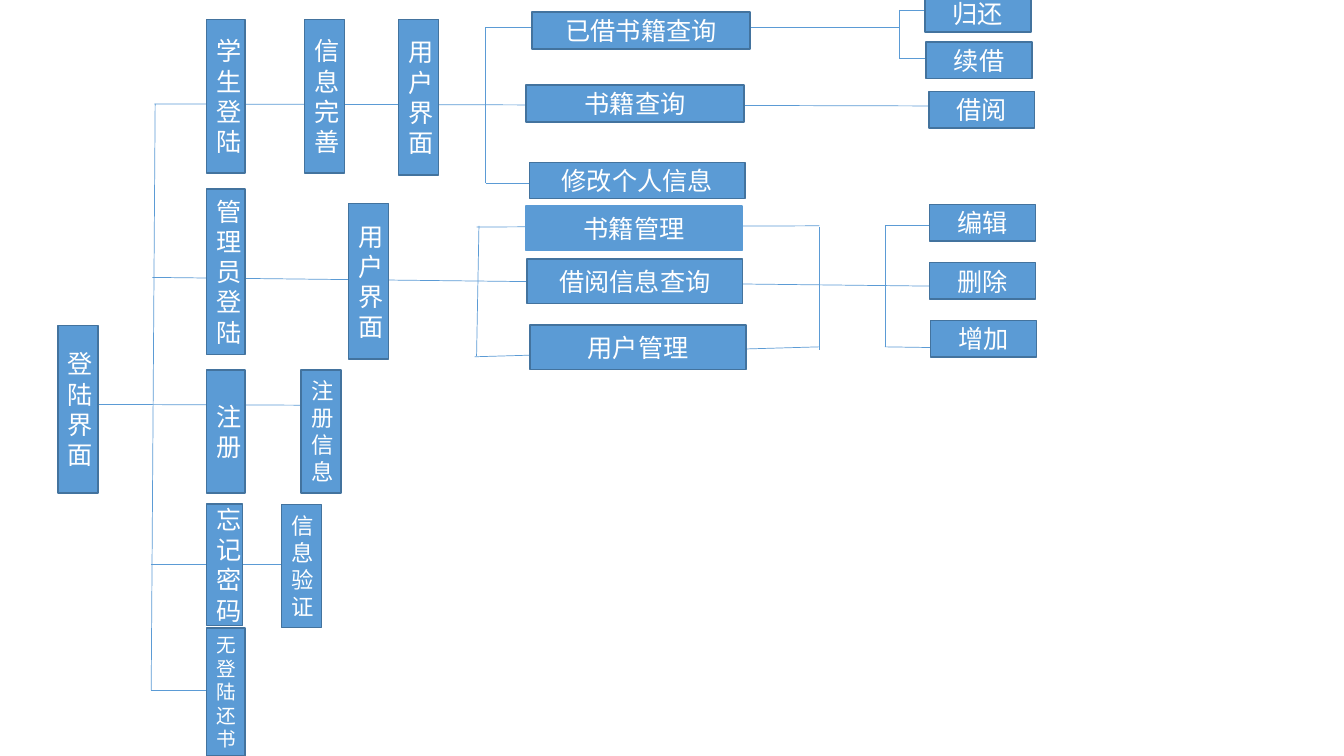
from dataclasses import dataclass

from lxml import etree
from pptx import Presentation
from pptx.dml.color import RGBColor
from pptx.enum.shapes import MSO_CONNECTOR, MSO_SHAPE
from pptx.enum.text import MSO_ANCHOR, PP_ALIGN
from pptx.oxml.ns import qn
from pptx.slide import Slide
from pptx.util import Cm, Pt

RECTANGLE = MSO_SHAPE.RECTANGLE
STRAIGHT = MSO_CONNECTOR.STRAIGHT
MIDDLE = MSO_ANCHOR.MIDDLE
CENTER = PP_ALIGN.CENTER

FONT = "Noto Sans CJK SC"
BLUE = "5B9BD5"
EDGE = "43739E"
WHITE = "FFFFFF"


@dataclass(frozen=True)
class Box:
    text: str
    left: float
    top: float
    width: float
    height: float
    size: int = 18
    edge: str = EDGE


@dataclass(frozen=True)
class Link:
    x1: float
    y1: float
    x2: float
    y2: float


def color(value: str) -> RGBColor:
    return RGBColor.from_string(value)


def draw_link(s: Slide, link: Link) -> None:
    line = s.shapes.add_connector(
        STRAIGHT, Cm(link.x1), Cm(link.y1), Cm(link.x2), Cm(link.y2)
    )
    line.line.color.rgb = color(BLUE)
    line.line.width = Pt(0.5)
    etree.SubElement(line._element.spPr, qn("a:effectLst"))


def draw_box(s: Slide, box: Box) -> None:
    sp = s.shapes.add_shape(
        RECTANGLE, Cm(box.left), Cm(box.top), Cm(box.width), Cm(box.height)
    )
    sp.shadow.inherit = False
    sp.fill.solid()
    sp.fill.fore_color.rgb = color(BLUE)
    sp.line.color.rgb = color(box.edge)
    sp.line.width = Pt(1)
    tf = sp.text_frame
    tf.text = box.text
    tf.word_wrap = True
    tf.vertical_anchor = MIDDLE
    p = tf.paragraphs[0]
    p.alignment = CENTER
    r = p.runs[0]
    r.font.size = Pt(box.size)
    r.font.color.rgb = color(WHITE)
    r.font.name = FONT
    etree.SubElement(r.font._element, qn("a:ea"), typeface=FONT)


LOGIN_LINKS = [
    Link(2.41, 10.19, 7.67, 10.21),
    Link(3.91, 2.62, 3.81, 17.4),
    Link(3.89, 2.62, 23.65, 2.67),
    Link(3.84, 6.99, 23.52, 7.21),
    Link(3.81, 14.22, 7.11, 14.22),
    Link(3.81, 17.4, 5.46, 17.4),
]
STUDENT_LINKS = [
    Link(12.24, 0.69, 12.24, 4.62),
    Link(12.24, 0.69, 22.66, 0.69),
    Link(12.24, 4.62, 18.26, 4.62),
    Link(22.66, 0.25, 22.66, 1.47),
    Link(22.66, 0.25, 23.32, 0.25),
    Link(22.66, 1.47, 23.32, 1.47),
]
ADMIN_LINKS = [
    Link(12.07, 5.69, 12.01, 8.97),
    Link(12.01, 5.72, 20.65, 5.69),
    Link(11.96, 8.99, 20.65, 8.74),
    Link(20.65, 5.72, 20.65, 8.81),
    Link(22.3, 5.69, 22.3, 8.74),
    Link(22.3, 5.69, 23.62, 5.69),
    Link(22.3, 8.74, 23.65, 8.76),
]

LOGIN_BOXES = [
    Box("登陆界面", 1.46, 8.2, 1.01, 4.22),
    Box("学生登陆", 5.21, 0.49, 0.97, 3.87),
    Box("管理员登陆", 5.21, 4.76, 0.97, 4.17),
    Box("注册", 5.21, 9.32, 0.97, 3.1),
    Box("忘记密码", 5.21, 12.7, 0.91, 3.06),
    Box("无登陆还书", 5.21, 15.83, 0.97, 3.22, 14),
]
DETAIL_BOXES = [
    Box("信息完善", 7.67, 0.49, 1.01, 3.87),
    Box("注册信息", 7.59, 9.32, 1.01, 3.1, 16),
    Box("信息验证", 7.09, 12.72, 1.01, 3.1, 16),
    Box("用户界面", 10.05, 0.49, 1.01, 3.92),
    Box("用户界面", 8.79, 5.13, 1.01, 3.92),
]
FUNCTION_BOXES = [
    Box("已借书籍查询", 13.41, 0.3, 5.49, 0.94),
    Box("书籍查询", 13.26, 2.14, 5.49, 0.94),
    Box("修改个人信息", 13.34, 4.09, 5.44, 0.91),
    Box("书籍管理", 13.26, 5.19, 5.44, 1.12, edge=BLUE),
    Box("借阅信息查询", 13.28, 6.53, 5.44, 1.12),
    Box("用户管理", 13.36, 8.19, 5.44, 1.12),
]
ACTION_BOXES = [
    Box(text, left, top, 2.67, 0.92)
    for text, left, top in [
        ("归还", 23.31, -0.11),
        ("续借", 23.34, 1.06),
        ("借阅", 23.41, 2.31),
        ("编辑", 23.42, 5.15),
        ("删除", 23.42, 6.62),
        ("增加", 23.45, 8.08),
    ]
]

prs = Presentation()
prs.slide_width = Cm(33.87)
prs.slide_height = Cm(19.05)
s = prs.slides.add_slide(prs.slide_layouts[6])

for link in LOGIN_LINKS + STUDENT_LINKS + ADMIN_LINKS:
    draw_link(s, link)
for box in LOGIN_BOXES + DETAIL_BOXES + FUNCTION_BOXES + ACTION_BOXES:
    draw_box(s, box)

prs.save("out.pptx")
